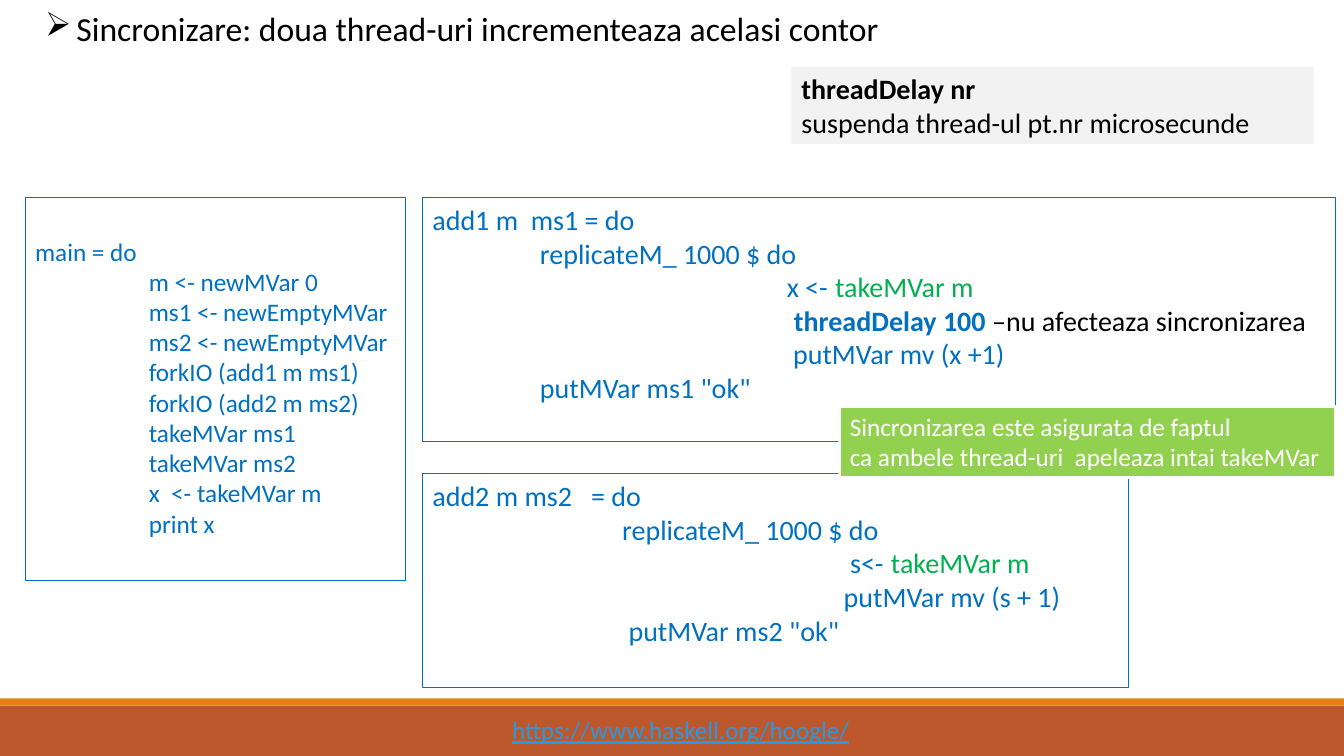
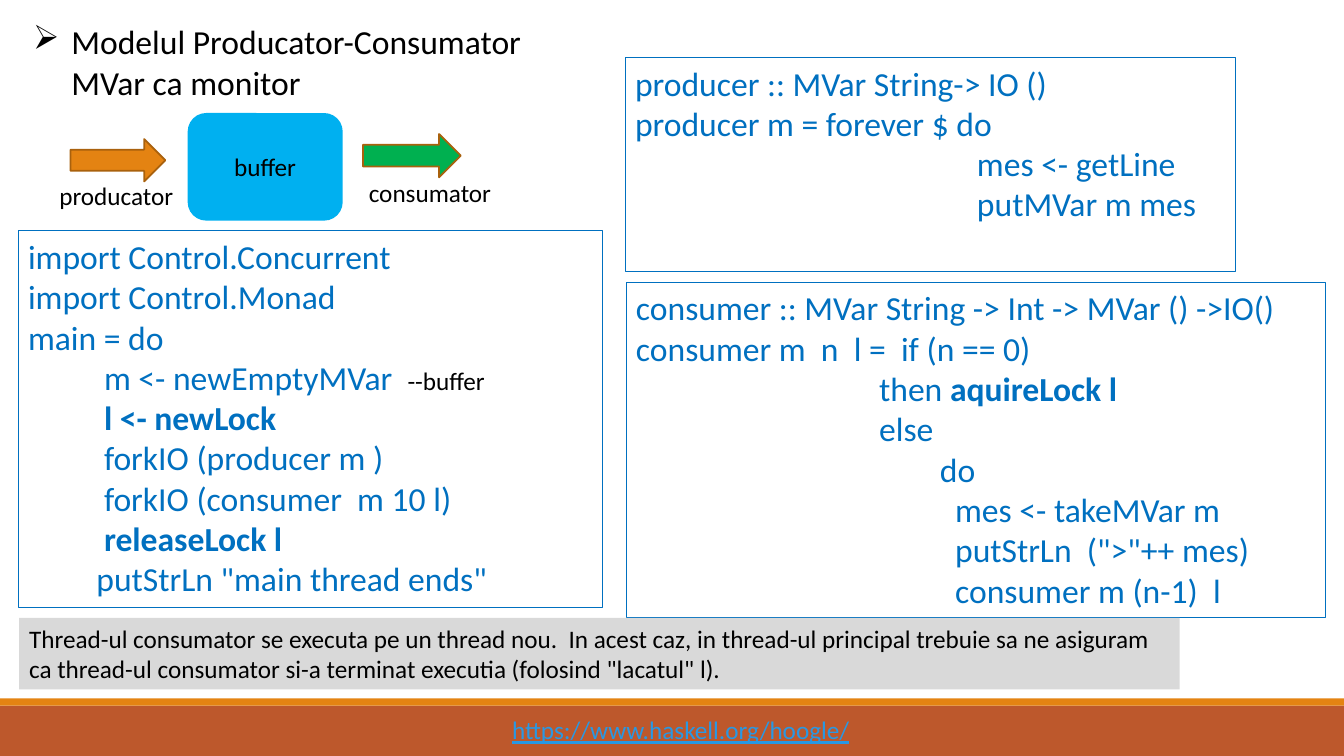
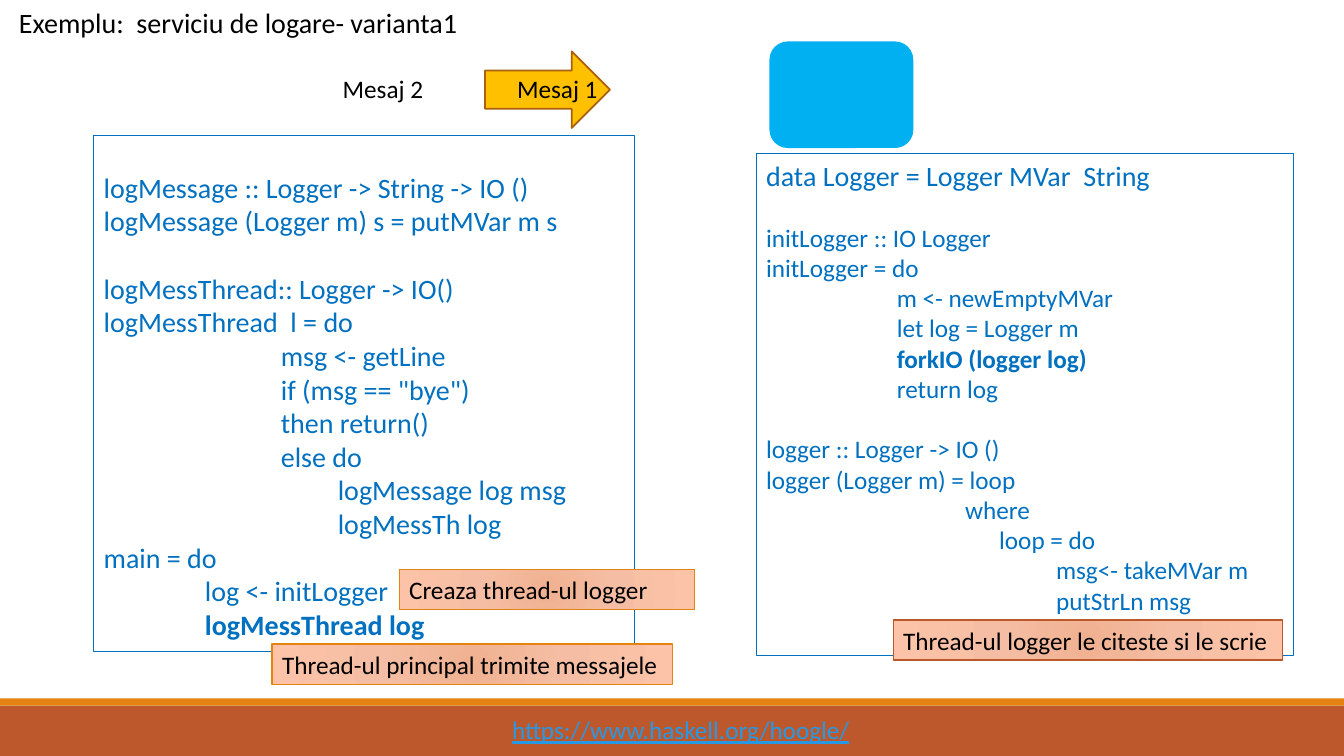
from collections import namedtuple
from dataclasses import dataclass

from pptx import Presentation
from pptx.dml.color import RGBColor
from pptx.enum.shapes import MSO_SHAPE
from pptx.enum.text import MSO_ANCHOR, PP_ALIGN
from pptx.oxml import parse_xml
from pptx.oxml.ns import nsdecls
from pptx.util import Inches, Pt


@dataclass(frozen=True)
class Theme:
    font: str = "Calibri"
    black: str = "000000"
    white: str = "FFFFFF"
    code: str = "0070C0"
    green: str = "00B050"
    lime: str = "92D050"
    sky: str = "00B0F0"
    gold: str = "FFC000"
    orange: str = "E48312"
    dark_orange: str = "A9610D"
    rust: str = "BD582C"
    link: str = "2998E3"
    light_gray: str = "F2F2F2"
    gray: str = "D9D9D9"
    callout_stops: tuple = ((0, "F0B191"), (45, "F5BEA4"), (100, "FDC3A8"))
    small: int = 18
    medium: int = 20
    large: int = 24


T = Theme()
Box = namedtuple("Box", "x y w h")
Run = namedtuple("Run", "text style")
BOLD = {"bold": True}
GREEN = {"color": T.green}
REMARK = {"color": T.black}


class Line:
    """One paragraph: plain strings or Run items, with a gap above in points."""

    def __init__(self, *runs, gap=0):
        self.runs = [r if isinstance(r, Run) else Run(r, {}) for r in runs]
        self.gap = gap


def rgb(value):
    return RGBColor.from_string(value)


def inside(box, dx, dy, w, h):
    return Box(box.x + dx, box.y + dy, w, h)


def write(shape, lines, size, color=T.black, wrap=True, top=0.05, **style):
    tf = shape.text_frame
    frame = {"word_wrap": wrap, "vertical_anchor": MSO_ANCHOR.TOP, "margin_top": Inches(top)}
    for name, value in frame.items():
        setattr(tf, name, value)
    for i, line in enumerate(lines):
        line = line if isinstance(line, Line) else Line(line)
        p = tf.add_paragraph() if i else tf.paragraphs[0]
        p.alignment = PP_ALIGN.LEFT
        if line.gap:
            p.space_before = Pt(line.gap)
        for run in line.runs:
            look = {"size": size, "color": color, **style, **run.style}
            r = p.add_run()
            r.text = run.text
            r.font.color.rgb = rgb(look.pop("color"))
            look.update(name=T.font, size=Pt(look["size"]))
            for name, value in look.items():
                setattr(r.font, name, value)
    return tf


def add_shape(s, box, fill=None, line=None, width=0.75, kind=MSO_SHAPE.RECTANGLE):
    sp = s.shapes.add_shape(kind, *map(Inches, box))
    sp.shadow.inherit = False
    if fill:
        sp.fill.solid()
        sp.fill.fore_color.rgb = rgb(fill)
    else:
        sp.fill.background()
    if line:
        sp.line.color.rgb = rgb(line)
        sp.line.width = Pt(width)
    else:
        sp.line.fill.background()
    return sp


def add_text(s, box, lines, size=T.small, **style):
    sp = s.shapes.add_textbox(*map(Inches, box))
    return write(sp, lines, size, **{"wrap": False, **style})


def add_title(s, box, lines, indent):
    """Title whose first line has an arrow bullet; other lines align with its text."""
    tf = add_text(s, box, lines, T.large, wrap=True)
    for i, p in enumerate(tf.paragraphs):
        pPr = p._p.get_or_add_pPr()
        pPr.set("marL", str(Inches(indent)))
        pPr.set("indent", str(0 if i else -Inches(indent)))
        if i == 0:
            pPr.append(parse_xml(f'<a:buFont {nsdecls("a")} typeface="Wingdings"/>'))
            pPr.append(parse_xml(f'<a:buChar {nsdecls("a")} char="Ø"/>'))


def add_code(s, box, lines, size, top=0.05):
    write(add_shape(s, box, line=T.code), lines, size, T.code, top=top)


def add_note(s, box, lines, fill, size=T.small, color=T.black, line=None):
    write(add_shape(s, box, fill, line, 2), lines, size, color)


def add_callout(s, box, text, line):
    sp = add_shape(s, box, line=line, width=1)
    stops = "".join(f'<a:gs pos="{pos * 1000}"><a:srgbClr val="{color}"/></a:gs>'
                    for pos, color in T.callout_stops)
    spPr = sp._element.spPr
    no_fill = spPr.find("{http://schemas.openxmlformats.org/drawingml/2006/main}noFill")
    spPr.replace(no_fill, parse_xml(
        f'<a:gradFill {nsdecls("a")} rotWithShape="1"><a:gsLst>{stops}</a:gsLst>'
        '<a:path path="circle"><a:fillToRect l="100000" t="100000" r="100000" b="100000"/>'
        '</a:path></a:gradFill>'))
    write(sp, [text], T.small, wrap=False)


def add_arrow(s, box, fill):
    add_shape(s, box, fill, T.dark_orange, 1.25, MSO_SHAPE.RIGHT_ARROW)


def add_buffer(s, box, label=None):
    sp = add_shape(s, box, T.sky, T.sky, 1.25, MSO_SHAPE.ROUNDED_RECTANGLE)
    if label:
        tf = write(sp, [label], T.small)
        tf.vertical_anchor = MSO_ANCHOR.MIDDLE
        tf.paragraphs[0].alignment = PP_ALIGN.CENTER


def add_footer(s, box):
    add_shape(s, box, T.rust)
    add_shape(s, inside(box, 0, -0.07, box.w, 0.07), T.orange)
    add_text(s, inside(box, 4.98, 0.04, 3.59, 0.4), ["https://www.haskell.org/hoogle/"],
             color=T.link, underline=True)


def new_slide(prs):
    s = prs.slides.add_slide(prs.slide_layouts[6])
    add_footer(s, Box(0, 7, 13.33, 0.5))
    return s


def producer_consumer_diagram(s, box):
    add_buffer(s, inside(box, 1.38, 0, 1.52, 1.05), "buffer")
    add_arrow(s, inside(box, 0.21, 0.25, 0.94, 0.42), T.orange)
    add_arrow(s, inside(box, 3.11, 0.2, 0.97, 0.43), T.green)
    add_text(s, inside(box, 0, 0.61, 1.34, 0.4), ["producator"])
    add_text(s, inside(box, 3.07, 0.58, 1.43, 0.4), ["consumator"])


def message_diagram(s, box):
    add_buffer(s, inside(box, 4.34, 0, 1.41, 1.04))
    add_arrow(s, inside(box, 1.51, 0.09, 1.24, 0.76), T.gold)
    for dx, label in ((1.73, "Mesaj 1"), (0, "Mesaj 2")):
        add_text(s, inside(box, dx, 0.26, 1.01, 0.4), [label])


def sync_slide(prs):
    s = new_slide(prs)
    add_title(s, Box(0.35, 0.03, 8.5, 0.5),
              ["Sincronizare: doua thread-uri incrementeaza acelasi contor"], 0.31)
    add_code(s, Box(4.19, 1.96, 9.06, 2.42), [
        "add1 m  ms1 = do",
        "                 replicateM_ 1000 $ do",
        Line("                                                        x <- ",
             Run("takeMVar m", GREEN)),
        Line("                                                         ",
             Run("threadDelay 100 ", BOLD), Run("–nu afecteaza sincronizarea", REMARK)),
        "                                                         putMVar mv (x +1)",
        '                 putMVar ms1 "ok"',
    ], T.medium)
    add_code(s, Box(4.19, 4.7, 7, 2.12), [
        "add2 m ms2   = do",
        "                              replicateM_ 1000 $ do",
        Line("                                                                  s<- ",
             Run("takeMVar m", GREEN)),
        "                                                                 putMVar mv (s + 1)",
        '                               putMVar ms2 "ok"',
    ], T.medium)
    add_code(s, Box(0.25, 1.96, 3.77, 3.8), [
        "main = do",
        "                    m <- newMVar 0",
        "                    ms1 <- newEmptyMVar",
        "                    ms2 <- newEmptyMVar",
        "                    forkIO (add1 m ms1)",
        "                    forkIO (add2 m ms2)",
        "                    takeMVar ms1",
        "                    takeMVar ms2",
        "                    x  <- takeMVar m",
        "                    print x",
    ], T.small, top=0.38)
    add_note(s, Box(7.85, 0.66, 5.18, 0.77),
             [Line(Run("threadDelay nr", BOLD)), "suspenda thread-ul pt.nr microsecunde"],
             T.light_gray, T.medium)
    add_note(s, Box(8.33, 4.03, 4.92, 0.71),
             ["Sincronizarea este asigurata de faptul",
              "ca ambele thread-uri  apeleaza intai takeMVar"],
             T.lime, color=T.white, line=T.white)


def producer_consumer_slide(prs):
    s = new_slide(prs)
    add_title(s, Box(0.23, 0.16, 5.09, 0.91),
              ["Modelul Producator-Consumator", "MVar ca monitor"], 0.38)
    producer_consumer_diagram(s, Box(0.49, 1.13, 4.5, 1.05))
    add_code(s, Box(6.21, 2.8, 6.94, 3.33), [
        "consumer :: MVar String -> Int -> MVar () ->IO()",
        "consumer m  n  l =  if (n == 0)",
        Line("                                then ", Run("aquireLock l", BOLD)),
        "                                else",
        "                                        do",
        "                                          mes <- takeMVar m",
        '                                          putStrLn  (">"++ mes)',
        "                                          consumer m (n-1)  l",
    ], T.large)
    add_code(s, Box(0.18, 2.29, 5.8, 3.74), [
        "import Control.Concurrent",
        "import Control.Monad",
        "main = do",
        Line("          m <- newEmptyMVar  ", Run("--buffer", {"size": T.small, **REMARK})),
        Line(Run("          l <- newLock", BOLD)),
        "          forkIO (producer m )",
        "          forkIO (consumer  m 10 l)",
        Line(Run("          releaseLock l", BOLD)),
        '         putStrLn "main thread ends"',
    ], T.large)
    add_code(s, Box(6.2, 0.57, 6.05, 2.12), [
        "producer :: MVar String-> IO ()",
        "producer m = forever $ do",
        "                                             mes <- getLine",
        "                                             putMVar m mes",
    ], T.large)
    add_note(s, Box(0.19, 6.13, 11.51, 0.71), [
        "Thread-ul consumator se executa pe un thread nou.  In acest caz, "
        "in thread-ul principal trebuie sa ne asiguram",
        'ca thread-ul consumator si-a terminat executia (folosind "lacatul" l).',
    ], T.gray)


def logger_slide(prs):
    s = new_slide(prs)
    add_text(s, Box(0.09, 0.01, 4.6, 0.44), ["Exemplu:  serviciu de logare- varianta1"],
             T.medium, wrap=True)
    message_diagram(s, Box(3.3, 0.42, 5.75, 1.04))
    add_code(s, Box(7.5, 1.52, 5.33, 4.98), [
        Line(Run("data Logger = Logger MVar  String", {"size": T.medium})),
        Line("initLogger :: IO Logger", gap=21.6),
        "initLogger = do",
        "                       m <- newEmptyMVar",
        "                       let log = Logger m",
        Line(Run("                       forkIO (logger log)", BOLD)),
        "                       return log",
        Line("logger :: Logger -> IO ()", gap=21.6),
        "logger (Logger m) = loop",
        "                                   where",
        "                                         loop = do",
        "                                                   msg<- takeMVar m",
        "                                                   putStrLn msg",
        "                                                   loop",
    ], T.small)
    add_code(s, Box(0.93, 1.34, 5.36, 5.12), [
        "logMessage :: Logger -> String -> IO ()",
        "logMessage (Logger m) s = putMVar m s",
        Line("logMessThread:: Logger -> IO()", gap=24),
        "logMessThread  l = do",
        "                            msg <- getLine",
        '                            if (msg == "bye")',
        "                            then return()",
        "                            else do",
        "                                     logMessage log msg",
        "                                     logMessTh log",
        "main = do",
        "                log <- initLogger",
        Line(Run("                logMessThread log", BOLD)),
    ], T.medium, top=0.35)
    for box, text, line in (
        (Box(2.7, 6.39, 3.97, 0.4), "Thread-ul principal trimite messajele", T.orange),
        (Box(8.86, 6.15, 3.86, 0.4), "Thread-ul logger le citeste si le scrie", T.rust),
        (Box(3.96, 5.65, 2.93, 0.4), "Creaza thread-ul logger", T.orange),
    ):
        add_callout(s, box, text, line)


def main():
    prs = Presentation()
    prs.slide_width, prs.slide_height = Inches(13.33), Inches(7.5)
    for build in (sync_slide, producer_consumer_slide, logger_slide):
        build(prs)
    prs.save("out.pptx")


if __name__ == "__main__":
    main()
